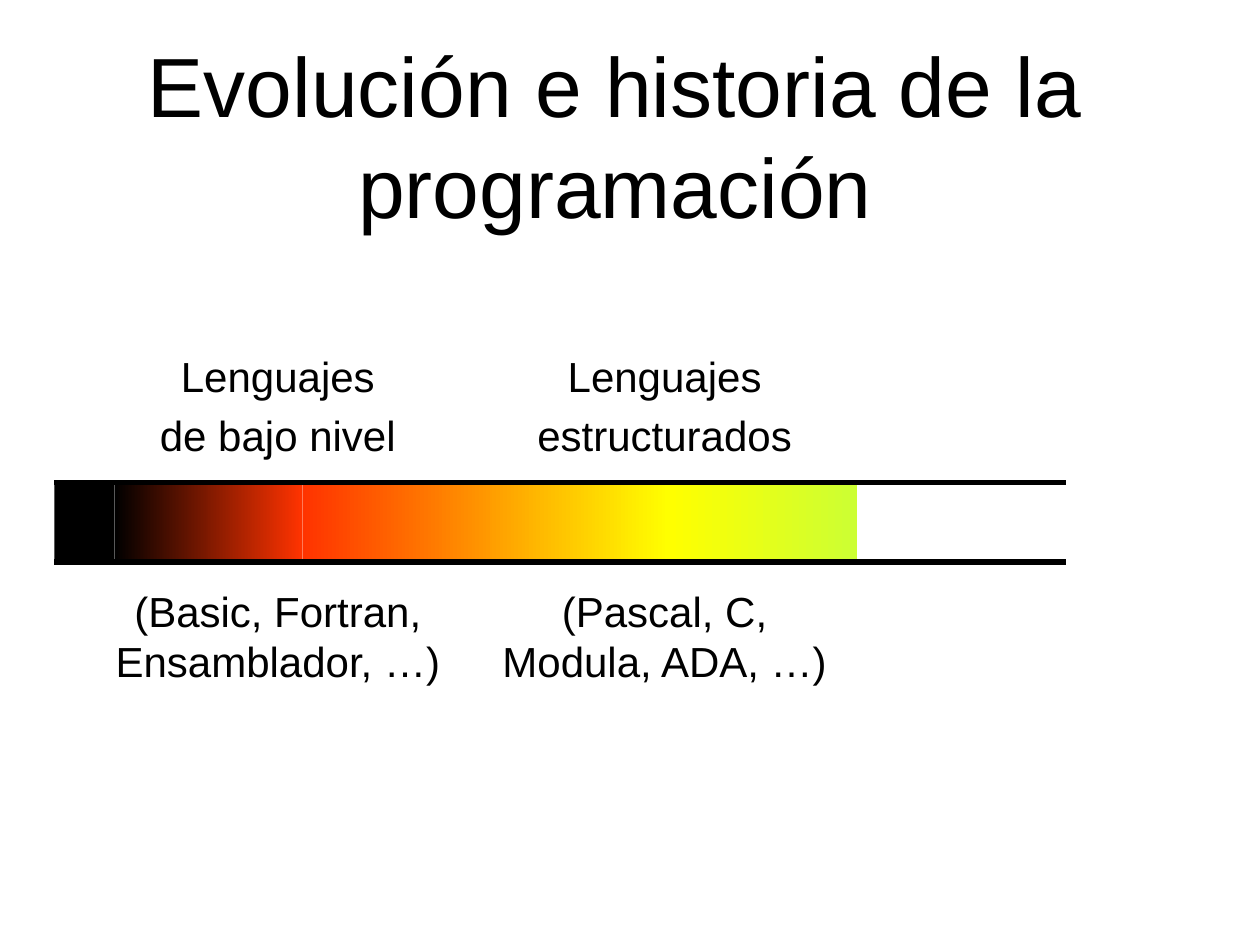
from lxml.etree import SubElement
from pptx import Presentation
from pptx.dml.color import RGBColor
from pptx.enum.shapes import MSO_CONNECTOR, MSO_SHAPE
from pptx.enum.text import MSO_ANCHOR, PP_ALIGN
from pptx.oxml.ns import qn
from pptx.util import Pt

FONT = "Arial"
BLACK = "000000"
TITLE = "Evolución e historia de la programación"

# Language families: left edge, box height, (text, space before)
FAMILIES = [
    (42.5, 211, [("Lenguajes", 0), ("de bajo nivel", 4.8),
                 ("(Basic, Fortran, Ensamblador, …)", 72)]),
    (263.5, 216, [("Lenguajes", 0), ("estructurados", 4.8),
                  ("(Pascal, C,\nModula, ADA, …)", 72)]),
]
FAMILY_TOP, FAMILY_WIDTH = 196.6, 232.6

# Timeline band: left edge, start colour, end colour, from back to front
SEGMENTS = [
    (382.3, "FFFF00", "CCFF33"),
    (275, "FF9900", "FFFF00"),
    (172.8, "FF3300", "FF9900"),
    (65.5, BLACK, "FF3300"),
]
SEGMENT_WIDTH = 107.3
BAND_LEFT, BAND_RIGHT = 31, 609.4
BAND_TOP, BAND_HEIGHT = 275.8, 45.4


def color(value):
    return RGBColor.from_string(value)


def add_band_part(slide, left, width):
    shape = slide.shapes.add_shape(
        MSO_SHAPE.RECTANGLE, Pt(left), Pt(BAND_TOP), Pt(width), Pt(BAND_HEIGHT))
    shape.shadow.inherit = False
    shape.line.fill.background()
    return shape


def add_rule(slide, y):
    rule = slide.shapes.add_connector(
        MSO_CONNECTOR.STRAIGHT, Pt(BAND_LEFT), Pt(y), Pt(BAND_RIGHT), Pt(y))
    rule.line.color.rgb = color(BLACK)
    rule.line.width = Pt(3)
    SubElement(rule._element.spPr, qn("a:effectLst"))


def add_text(slide, left, top, width, height, lines, size, anchor=MSO_ANCHOR.TOP):
    box = slide.shapes.add_textbox(Pt(left), Pt(top), Pt(width), Pt(height))
    frame = box.text_frame
    frame.word_wrap = True
    frame.vertical_anchor = anchor
    for index, (text, space) in enumerate(lines):
        paragraph = frame.add_paragraph() if index else frame.paragraphs[0]
        paragraph.text = text
        paragraph.alignment = PP_ALIGN.CENTER
        paragraph.space_before = Pt(space)
        paragraph.font.name = FONT
        paragraph.font.size = Pt(size)
        paragraph.font.color.rgb = color(BLACK)


def main():
    presentation = Presentation()
    presentation.slide_width, presentation.slide_height = Pt(720), Pt(540)
    slide = presentation.slides.add_slide(presentation.slide_layouts[6])

    # Gradient segments
    for left, start, end in SEGMENTS:
        fill = add_band_part(slide, left, SEGMENT_WIDTH).fill
        fill.gradient()
        fill.gradient_angle = 0
        for stop, value in zip(fill.gradient_stops, (start, end)):
            stop.color.rgb = color(value)

    # Rules above and below the band, and its black start
    for y in (BAND_TOP, BAND_TOP + BAND_HEIGHT):
        add_rule(slide, y)
    first_left = SEGMENTS[-1][0]
    start_block = add_band_part(slide, BAND_LEFT, first_left - BAND_LEFT)
    start_block.fill.solid()
    start_block.fill.fore_color.rgb = color(BLACK)

    # Title and language families
    add_text(slide, 36.7, 20.2, 629.3, 113, [(TITLE, 0)], 48, MSO_ANCHOR.MIDDLE)
    for left, height, lines in FAMILIES:
        add_text(slide, left, FAMILY_TOP, FAMILY_WIDTH, height, lines, 24)

    presentation.save("out.pptx")


if __name__ == "__main__":
    main()
